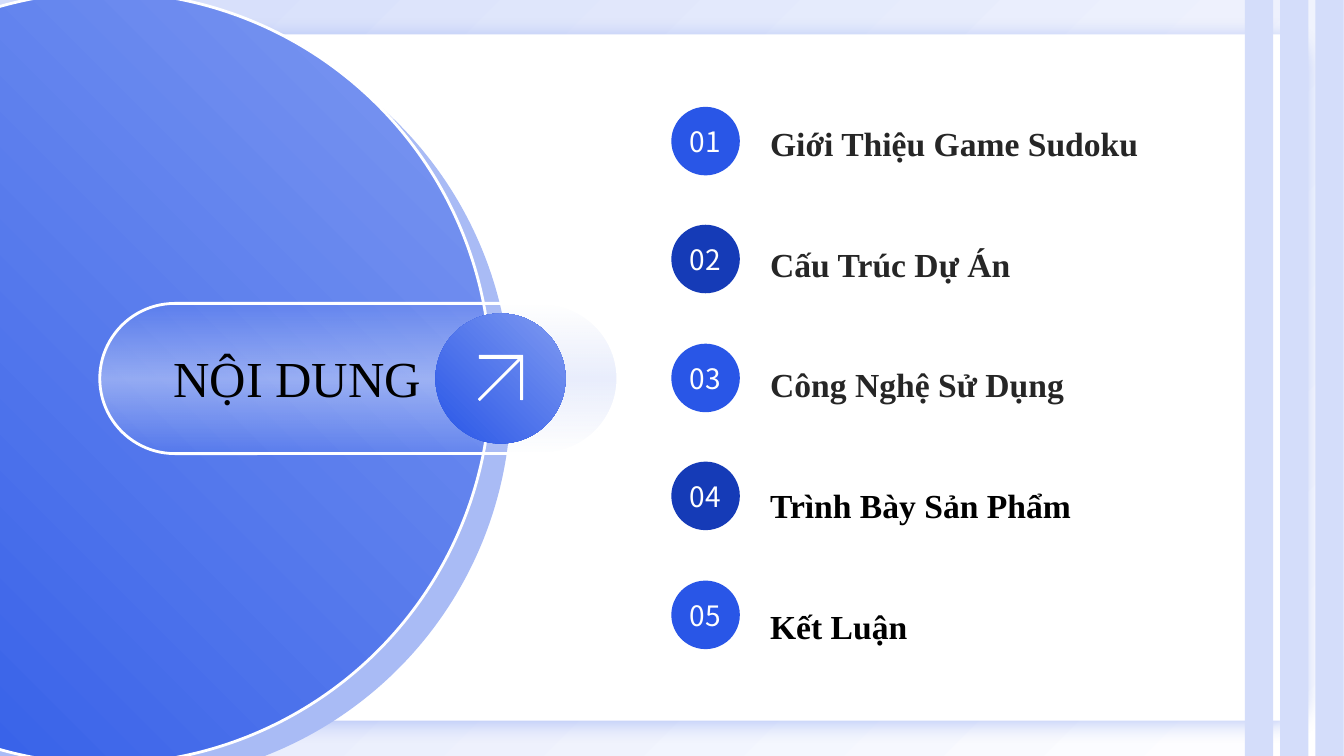
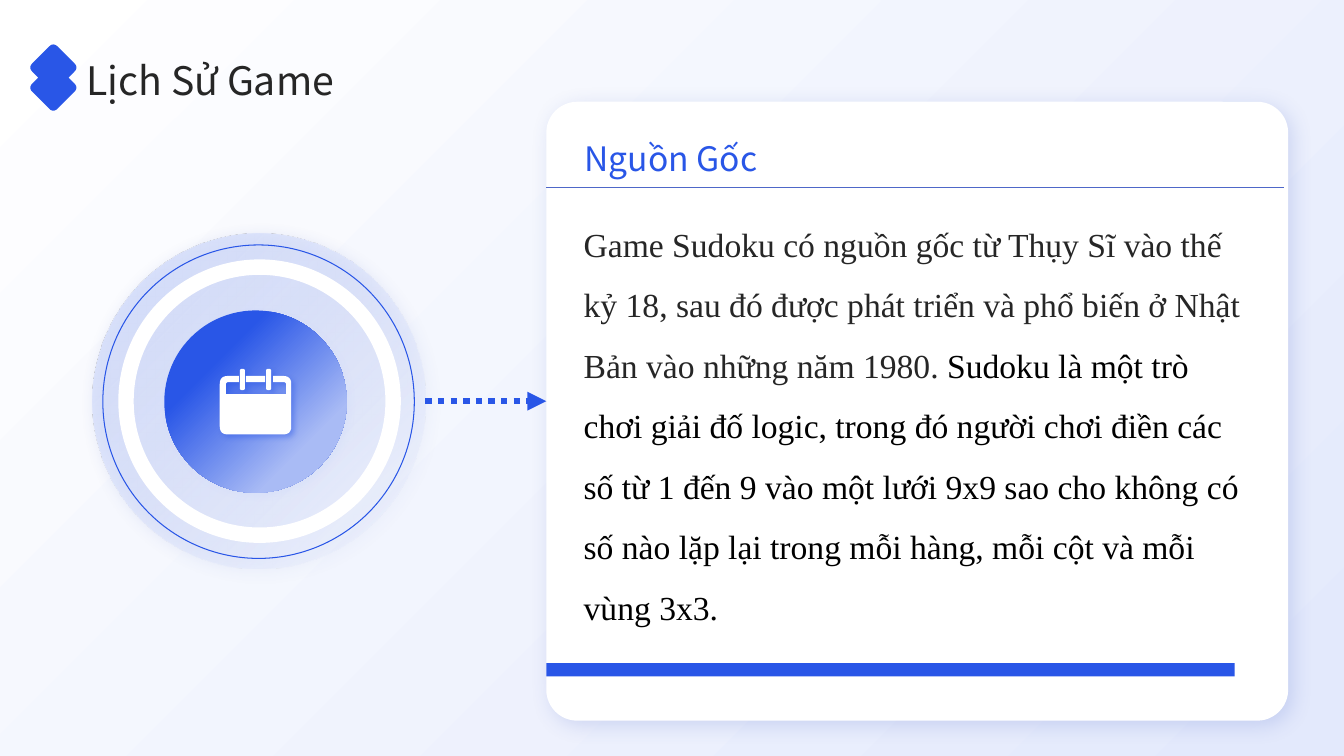
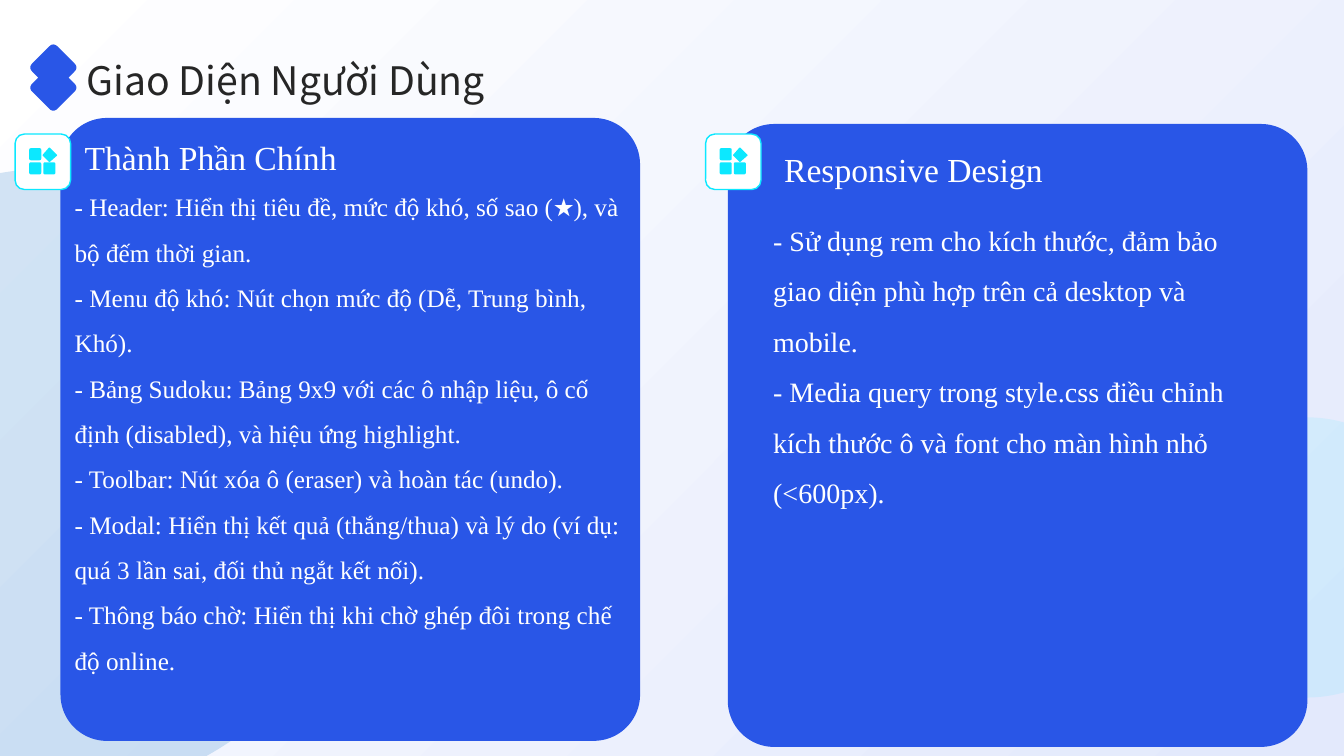
from dataclasses import dataclass
from math import hypot
from typing import NamedTuple

from lxml.etree import SubElement
from pptx import Presentation
from pptx.dml.color import RGBColor
from pptx.enum.dml import MSO_LINE
from pptx.enum.shapes import MSO_CONNECTOR, MSO_SHAPE
from pptx.enum.text import MSO_ANCHOR, MSO_AUTO_SIZE, PP_ALIGN
from pptx.oxml.ns import qn
from pptx.util import Emu, Pt

PX = 9144  # 100 px to the inch


@dataclass(frozen=True)
class Theme:
    white: str = "FFFFFF"
    black: str = "000000"
    ink: str = "262626"
    blue: str = "2956E7"
    deep: str = "153BB7"
    soft: str = "7F9AF1"
    mist: str = "A9BBF5"
    pale: str = "D4DDFA"
    haze: str = "E3E9FC"
    slate: str = "4E67C8"
    sea: str = "0068BF"
    cyan: str = "0CE8FF"
    sans: str = "Noto Sans CJK SC"
    serif: str = "Times New Roman"
    huge: int = 36
    title: int = 28
    head: int = 24
    text: int = 20
    small: int = 18


T = Theme()


class Box(NamedTuple):
    x: int
    y: int
    w: int
    h: int


class Spot(NamedTuple):
    """A corner of an outline, with the length that is rounded off."""
    x: float
    y: float
    r: float = 0


class Shade(NamedTuple):
    color: str
    alpha: int
    blur: int
    dist: int
    angle: int


class Stop(NamedTuple):
    place: int
    color: str
    alpha: int = 100


class Blend(NamedTuple):
    stops: tuple[Stop, ...]
    angle: int


class Edge(NamedTuple):
    color: str
    width: float


@dataclass(frozen=True)
class Style:
    size: int
    font: str = T.serif
    color: str = T.white
    bold: bool = False
    space: float = 1.0
    anchor: MSO_ANCHOR = MSO_ANCHOR.TOP
    align: PP_ALIGN = PP_ALIGN.LEFT
    gap: float = 0


@dataclass(frozen=True)
class Panel:
    card: Box
    tile: int
    head: str
    place: Box
    lines: tuple[str, ...]
    body: Box
    size: int


TITLE = Style(T.title, T.sans, T.ink, space=1.1, anchor=MSO_ANCHOR.MIDDLE)
HEAD = Style(T.head, space=1.3, anchor=MSO_ANCHOR.BOTTOM)


# Fills, edges and shadows
def rgb(color: str) -> RGBColor:
    return RGBColor.from_string(color)


def tint(parent, color: str, alpha: int) -> None:
    node = SubElement(parent, qn("a:srgbClr"), val=color)
    if alpha < 100:
        SubElement(node, qn("a:alpha"), val=str(alpha * 1000))


def grade(root, blend: Blend) -> None:
    grad = root.find(".//" + qn("a:gradFill"))
    grad.clear()
    grad.set("rotWithShape", "1")
    stops = SubElement(grad, qn("a:gsLst"))
    for stop in blend.stops:
        node = SubElement(stops, qn("a:gs"), pos=str(stop.place * 1000))
        tint(node, stop.color, stop.alpha)
    SubElement(grad, qn("a:lin"), ang=str(blend.angle * 60000), scaled="0")


def paint(shape, fill: str | Blend | None, edge: Edge | None = None,
          shade: Shade | None = None, alpha: int = 100) -> None:
    shape.shadow.inherit = False
    if fill is None:
        shape.fill.background()
    elif isinstance(fill, Blend):
        shape.fill.gradient()
        grade(shape.element, fill)
    else:
        shape.fill.solid()
        shape.fill.fore_color.rgb = rgb(fill)
        if alpha < 100:
            node = shape.element.find(".//" + qn("a:srgbClr"))
            SubElement(node, qn("a:alpha"), val=str(alpha * 1000))
    if edge:
        shape.line.color.rgb = rgb(edge.color)
        shape.line.width = Pt(edge.width)
    else:
        shape.line.fill.background()
    if shade:
        node = SubElement(shape.element.find(".//" + qn("a:effectLst")),
                          qn("a:outerShdw"), blurRad=str(Pt(shade.blur)),
                          dist=str(Pt(shade.dist)), dir=str(shade.angle * 60000),
                          algn="ctr", rotWithShape="0")
        tint(node, shade.color, shade.alpha)


# Shapes, outlines and lines
def scale(box: Box) -> list[Emu]:
    return [Emu(side * PX) for side in box]


def add(slide, kind: MSO_SHAPE, box: Box, fill: str | Blend | None,
        edge: Edge | None = None, shade: Shade | None = None,
        alpha: int = 100, bend: float | None = None):
    shape = slide.shapes.add_shape(kind, *scale(box))
    if bend is not None:
        shape.adjustments[0] = bend
    paint(shape, fill, edge, shade, alpha)
    return shape


def smooth(spots: list[Spot]) -> list[tuple[float, float]]:
    points = []
    for i, spot in enumerate(spots):
        if not spot.r:
            points.append((spot.x * PX, spot.y * PX))
            continue
        ends = []
        for near in (spots[i - 1], spots[(i + 1) % len(spots)]):
            part = spot.r / hypot(near.x - spot.x, near.y - spot.y)
            ends.append((spot.x + (near.x - spot.x) * part,
                         spot.y + (near.y - spot.y) * part))
        (ax, ay), (bx, by) = ends
        for step in range(7):
            t = step / 6
            a, m, b = (1 - t) ** 2, 2 * t * (1 - t), t * t
            points.append(((a * ax + m * spot.x + b * bx) * PX,
                           (a * ay + m * spot.y + b * by) * PX))
    return points


def block(box: Box, r: float = 0) -> list[Spot]:
    x, y, w, h = box
    return [Spot(x, y, r), Spot(x + w, y, r),
            Spot(x + w, y + h, r), Spot(x, y + h, r)]


def draw(slide, loops: list[list[Spot]], fill: str,
         shade: Shade | None = None) -> None:
    first, *rest = [smooth(loop) for loop in loops]
    pen = slide.shapes.build_freeform(*first[0], scale=1.0)
    pen.add_line_segments(first[1:], close=True)
    for points in rest:
        pen.move_to(*points[0])
        pen.add_line_segments(points[1:], close=True)
    paint(pen.convert_to_shape(), fill, shade=shade)


def rule(slide, x: int, y: int, end: int, edge: Edge, arrow: bool = False) -> None:
    line = slide.shapes.add_connector(
        MSO_CONNECTOR.STRAIGHT, *scale(Box(x, y, end, y)))
    line.line.color.rgb = rgb(edge.color)
    line.line.width = Pt(edge.width)
    if arrow:
        line.line.dash_style = MSO_LINE.ROUND_DOT
        SubElement(line.element.find(".//" + qn("a:ln")),
                   qn("a:tailEnd"), type="triangle")
    SubElement(line.element.find(qn("p:spPr")), qn("a:effectLst"))


# Text
def tone(run, style: Style) -> None:
    font = run.font
    font.name, font.size, font.bold = style.font, Pt(style.size), style.bold
    font.color.rgb = rgb(style.color)


def write(shape, lines: tuple[str, ...], style: Style):
    frame = shape.text_frame
    frame.text = "\n".join(lines)
    frame.word_wrap = True
    frame.auto_size = MSO_AUTO_SIZE.NONE
    frame.vertical_anchor = style.anchor
    frame.margin_left = frame.margin_right = 0
    frame.margin_top = frame.margin_bottom = 0
    for i, para in enumerate(frame.paragraphs):
        para.alignment = style.align
        para.line_spacing = style.space
        para.space_before = Pt(style.gap if i else 0)
        for run in para.runs:
            tone(run, style)
    return frame


def place(slide, index: int, box: Box, lines: tuple[str, ...], style: Style):
    """Fill a placeholder, without bullets, and bring it to the front."""
    shape = next(item for item in slide.placeholders
                 if item.placeholder_format.idx == index)
    shape.left, shape.top, shape.width, shape.height = scale(box)
    frame = write(shape, lines, style)
    for para in frame.paragraphs:
        props = para._p.get_or_add_pPr()
        props.set("marL", "0")
        props.set("indent", "0")
        SubElement(props, qn("a:buNone"))
    shape.element.getparent().append(shape.element)
    return frame


# Parts that slides share
def header(slide, text: str) -> None:
    place(slide, 0, Box(86, 51, 1167, 51), (text,), TITLE)
    draw(slide, [[Spot(53, 42, 6), Spot(78, 67, 6), Spot(68, 77),
                  Spot(78, 87, 6), Spot(53, 112, 6), Spot(28, 87, 6),
                  Spot(38, 77), Spot(28, 67, 6)]], T.blue)


def disc(slide, box: Box, fill: str | Blend | None, edge: Edge | None = None,
         shade: Shade | None = None, alpha: int = 100):
    return add(slide, MSO_SHAPE.OVAL, box, fill, edge, shade, alpha)


def tile(slide, x: int, y: int) -> None:
    add(slide, MSO_SHAPE.ROUNDED_RECTANGLE, Box(x, y, 55, 55), T.white,
        Edge(T.cyan, 1))
    x, y = x + 14, y + 14
    loops = [block(Box(x + dx, y + dy, 12, 12), 2)
             for dx, dy in ((0, 0), (0, 14), (14, 14))]
    loops.append([Spot(x + 20, y - 1, 1), Spot(x + 28, y + 7, 1),
                  Spot(x + 20, y + 14, 1), Spot(x + 13, y + 7, 1)])
    draw(slide, loops, T.cyan)


# Slides
def agenda(slide) -> None:
    add(slide, MSO_SHAPE.RECTANGLE, Box(0, 0, 1333, 750),
        Blend((Stop(0, T.white), Stop(100, T.pale)), 225))
    add(slide, MSO_SHAPE.ROUNDED_RECTANGLE, Box(37, 34, 1259, 681), T.white,
        shade=Shade(T.blue, 30, 15, 3, 90), bend=0.04)
    glow = Blend((Stop(0, T.blue), Stop(100, T.soft)), 315)
    disc(slide, Box(-259, 10, 766, 766), T.mist)
    disc(slide, Box(-279, -8, 766, 766), glow, Edge(T.white, 2))
    # Title pill with its arrow
    veil = Blend((Stop(0, T.pale, 0), Stop(50, T.pale, 50),
                  Stop(100, T.pale, 0)), 90)
    add(slide, MSO_SHAPE.ROUNDED_RECTANGLE, Box(99, 301, 514, 149), veil,
        Edge(T.white, 2), bend=0.5)
    place(slide, 0, Box(172, 324, 257, 101), ("NỘI DUNG",),
          Style(T.huge, color=T.black, anchor=MSO_ANCHOR.MIDDLE))
    disc(slide, Box(432, 311, 129, 129), glow)
    draw(slide, [[Spot(519, 352, 1), Spot(519, 397, 1), Spot(516, 397, 1),
                  Spot(516, 358), Spot(476, 398, 1), Spot(474, 396, 1),
                  Spot(514, 356), Spot(475, 356, 1), Spot(475, 352, 1)]], T.white)
    draw(slide, [block(Box(x, 0, 28, 750)) for x in (1235, 1270, 1305)], T.pale)
    # Numbered topics
    topics = ("Giới Thiệu Game Sudoku", "Cấu Trúc Dự Án", "Công Nghệ Sử Dụng",
              "Trình Bày Sản Phẩm", "Kết Luận")
    count = Style(T.text, T.sans, anchor=MSO_ANCHOR.MIDDLE, align=PP_ALIGN.CENTER)
    for i in range(len(topics)):
        badge = disc(slide, Box(666, 106 + i * 235 // 2, 68, 68),
                     T.deep if i % 2 else T.blue)
        write(badge, (f"{i + 1:02}",), count)
    frame = place(slide, 1, Box(764, 93, 428, 565), topics,
                  Style(T.head, color=T.ink, bold=True, space=1.3,
                        anchor=MSO_ANCHOR.MIDDLE, gap=48.9))
    for para in frame.paragraphs[3:]:
        para.runs[0].font.color.rgb = rgb(T.black)


def story(slide) -> None:
    add(slide, MSO_SHAPE.ROUNDED_RECTANGLE, Box(542, 101, 736, 614), T.white,
        shade=Shade(T.slate, 20, 15, 5, 45), bend=0.05)
    add(slide, MSO_SHAPE.RECTANGLE, Box(542, 658, 683, 13), T.blue)
    rule(slide, 542, 186, 1274, Edge(T.slate, 1))
    # Rings around the calendar
    disc(slide, Box(92, 232, 330, 332),
         Blend((Stop(4, T.pale), Stop(100, T.pale, 0)), 45),
         shade=Shade(T.slate, 21, 11, 3, 45))
    disc(slide, Box(125, 265, 265, 266), None, Edge(T.white, 11))
    disc(slide, Box(102, 243, 309, 311), None, Edge(T.blue, 0.75))
    rule(slide, 422, 398, 542, Edge(T.blue, 4.5), arrow=True)
    disc(slide, Box(163, 308, 181, 181),
         Blend((Stop(28, T.blue), Stop(76, T.mist)), 45),
         shade=Shade(T.pale, 40, 4, 3, 45))
    # Calendar
    page = [Spot(237, 373), Spot(237, 379), Spot(224, 379, 3), Spot(224, 391),
            Spot(284, 391), Spot(284, 379, 3), Spot(271, 379), Spot(271, 373),
            Spot(289, 373, 8), Spot(289, 431, 8), Spot(218, 431, 8),
            Spot(218, 373, 8)]
    pins = [block(Box(x, 366, 5, 21), 2) for x in (238, 264)]
    draw(slide, [page, block(Box(244, 373, 19, 6)), *pins], T.white,
         Shade(T.blue, 40, 4, 3, 45))
    # Text of the card
    base = Style(T.head, color=T.ink, space=1.5)
    frame = place(slide, 1, Box(579, 202, 652, 367), (
        "Game Sudoku có nguồn gốc từ Thụy Sĩ vào thế kỷ 18, sau đó được phát "
        "triển và phổ biến ở Nhật Bản vào những năm 1980. ",), base)
    run = frame.paragraphs[0].add_run()
    run.text = ("Sudoku là một trò chơi giải đố logic, trong đó người chơi điền "
                "các số từ 1 đến 9 vào một lưới 9x9 sao cho không có số nào lặp "
                "lại trong mỗi hàng, mỗi cột và mỗi vùng 3x3.")
    tone(run, Style(T.head, color=T.black))
    label = slide.shapes.add_textbox(*scale(Box(580, 123, 608, 54)))
    write(label, ("Nguồn Gốc",), Style(T.head, T.sans, T.blue, space=1.3,
                                       anchor=MSO_ANCHOR.BOTTOM))
    header(slide, "Lịch Sử Game")


PANELS = (
    Panel(Box(60, 117, 575, 618), 15, "Thành Phần Chính", Box(84, 131, 566, 45), (
        "- Header: Hiển thị tiêu đề, mức độ khó, số sao (★), và bộ đếm thời gian.",
        "- Menu độ khó: Nút chọn mức độ (Dễ, Trung bình, Khó).",
        "- Bảng Sudoku: Bảng 9x9 với các ô nhập liệu, ô cố định (disabled), "
        "và hiệu ứng highlight.",
        "- Toolbar: Nút xóa ô (eraser) và hoàn tác (undo).",
        "- Modal: Hiển thị kết quả (thắng/thua) và lý do (ví dụ: quá 3 lần sai, "
        "đối thủ ngắt kết nối).",
        "- Thông báo chờ: Hiển thị khi chờ ghép đôi trong chế độ online.",
    ), Box(74, 175, 545, 541), T.small),
    Panel(Box(722, 123, 575, 618), 700, "Responsive Design", Box(778, 147, 451, 41), (
        "- Sử dụng rem cho kích thước, đảm bảo giao diện phù hợp trên cả desktop "
        "và mobile.",
        "- Media query trong style.css điều chỉnh kích thước ô và font cho màn "
        "hình nhỏ (<600px).",
    ), Box(767, 205, 469, 499), T.text),
)


def screens(slide) -> None:
    disc(slide, Box(-257, 167, 622, 622), T.sea, alpha=17)
    disc(slide, Box(1157, 414, 278, 278), T.cyan, alpha=9)
    header(slide, "Giao Diện Người Dùng")
    for i, panel in enumerate(PANELS):
        add(slide, MSO_SHAPE.ROUNDED_RECTANGLE, panel.card, T.blue, bend=0.08)
        tile(slide, panel.tile, 133)
        place(slide, 2 * i + 1, panel.place, (panel.head,), HEAD)
        place(slide, 2 * i + 2, panel.body, panel.lines,
              Style(panel.size, space=1.5))


def main() -> None:
    deck = Presentation()
    deck.slide_width, deck.slide_height = Emu(12192000), Emu(6858000)
    master = deck.slide_master
    master.background.fill.gradient()
    grade(master.element, Blend((Stop(0, T.white), Stop(98, T.haze)), 45))
    for layout, build in ((1, agenda), (1, story), (4, screens)):
        build(deck.slides.add_slide(deck.slide_layouts[layout]))
    deck.save("out.pptx")


if __name__ == "__main__":
    main()
